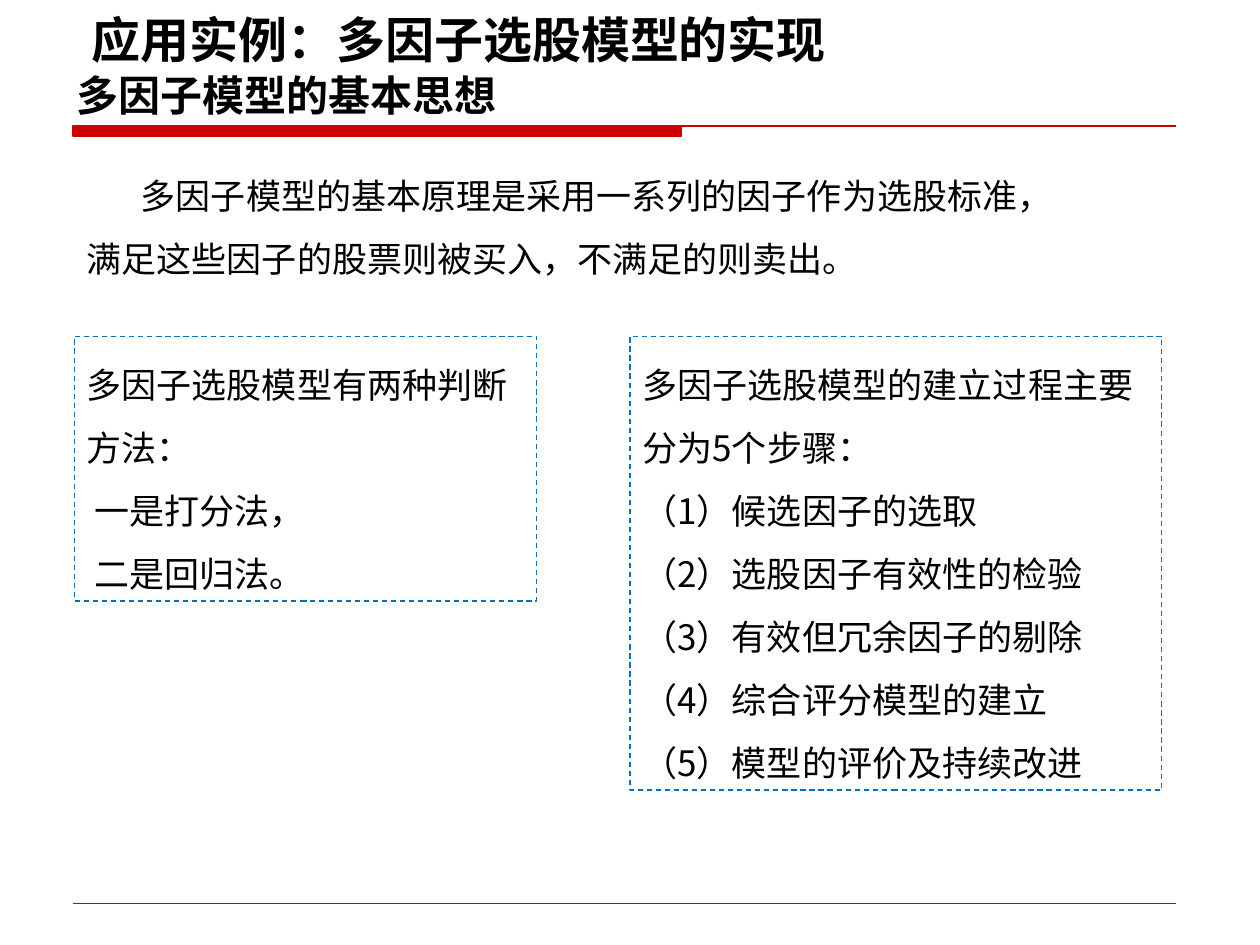
import pptx
import pptx.util
import pptx.dml.color
import pptx.enum.dml
import pptx.enum.shapes
import pptx.enum.text
import pptx.oxml
import pptx.oxml.ns

Inches = pptx.util.Inches
FONT = "Noto Sans CJK SC"
COLORS = {"red": "CC0000", "blue": "0070C0", "text": "000000"}

# Content: (text, first-line indent in inches)
HEADING = [("应用实例：多因子选股模型的实现", 0)]
SUBHEADING = [("多因子模型的基本思想", 0)]
INTRO = [("多因子模型的基本原理是采用一系列的因子作为选股标准，"
          "满足这些因子的股票则被买入，不满足的则卖出。", 0.43)]
METHODS = [
    ("多因子选股模型有两种判断方法：", 0),
    ("一是打分法，", 0.06),
    ("二是回归法。", 0.06),
]
STEP_NAMES = ["候选因子的选取", "选股因子有效性的检验", "有效但冗余因子的剔除",
              "综合评分模型的建立", "模型的评价及持续改进"]
STEPS = [("多因子选股模型的建立过程主要分为5个步骤：", 0)] + [
    (f"（{number}）{name}", 0) for number, name in enumerate(STEP_NAMES, 1)]

# Layout: left, top, width, height in inches
RULE_LEFT, RULE_RIGHT = 0.58, 9.33
RULE_TOPS = [1, 7.17]
BAR = (RULE_LEFT, 1, 4.83, 0.08)
TEXT_BOXES = [
    (SUBHEADING, (0.51, 0.5, 4.9, 0.49), dict(size=24, bold=True)),
    (INTRO, (0.59, 1.17, 8.13, 1.1), dict(spacing=1.5)),
    (HEADING, (0.63, 0, 6.12, 0.62), dict(size=28, bold=True, middle=True)),
]
PANELS = [(METHODS, (0.59, 2.67, 3.67, 2.1)), (STEPS, (5, 2.67, 4.22, 3.6))]


def color(name):
    return pptx.dml.color.RGBColor.from_string(COLORS[name])


def set_line(shape, name):
    shape.line.color.rgb = color(name)
    shape.line.width = pptx.util.Pt(0.75)


def add_rectangle(page, place):
    shape = page.shapes.add_shape(
        pptx.enum.shapes.MSO_SHAPE.RECTANGLE, *map(Inches, place))
    shape.shadow.inherit = False
    return shape


def write(shape, lines, size=20, bold=False, spacing=1.0, middle=False):
    frame = shape.text_frame
    frame.word_wrap = True
    anchors = pptx.enum.text.MSO_ANCHOR
    frame.vertical_anchor = anchors.MIDDLE if middle else anchors.TOP
    for index, (text, indent) in enumerate(lines):
        para = frame.add_paragraph() if index else frame.paragraphs[0]
        para.text = text
        para.alignment = pptx.enum.text.PP_ALIGN.LEFT
        para.line_spacing = spacing
        properties = para._p.get_or_add_pPr()
        properties.set("indent", str(Inches(indent)))
        font = para.font
        font.size = pptx.util.Pt(size)
        font.bold = bold
        font.color.rgb = color("text")
        font.name = FONT
        # East Asian typeface
        defaults = properties.find(pptx.oxml.ns.qn("a:defRPr"))
        defaults.append(pptx.oxml.parse_xml(
            f'<a:ea {pptx.oxml.ns.nsdecls("a")} typeface="{FONT}"/>'))


def main():
    deck = pptx.Presentation()
    deck.slide_width, deck.slide_height = Inches(10), Inches(7.5)
    page = deck.slides.add_slide(deck.slide_layouts[6])

    # Red rules and bar
    for top in RULE_TOPS:
        rule = page.shapes.add_connector(
            pptx.enum.shapes.MSO_CONNECTOR.STRAIGHT,
            Inches(RULE_LEFT), Inches(top), Inches(RULE_RIGHT), Inches(top))
        set_line(rule, "red")
        rule._element.spPr.append(pptx.oxml.parse_xml(
            f'<a:effectLst {pptx.oxml.ns.nsdecls("a")}/>'))
    bar = add_rectangle(page, BAR)
    bar.fill.solid()
    bar.fill.fore_color.rgb = color("red")
    set_line(bar, "red")

    # Headings and introduction
    for lines, place, style in TEXT_BOXES:
        write(page.shapes.add_textbox(*map(Inches, place)), lines, **style)

    # Dashed panels
    for lines, place in PANELS:
        panel = add_rectangle(page, place)
        panel.fill.background()
        set_line(panel, "blue")
        panel.line.dash_style = pptx.enum.dml.MSO_LINE.DASH
        write(panel, lines, spacing=1.5)

    deck.save("out.pptx")


if __name__ == "__main__":
    main()
